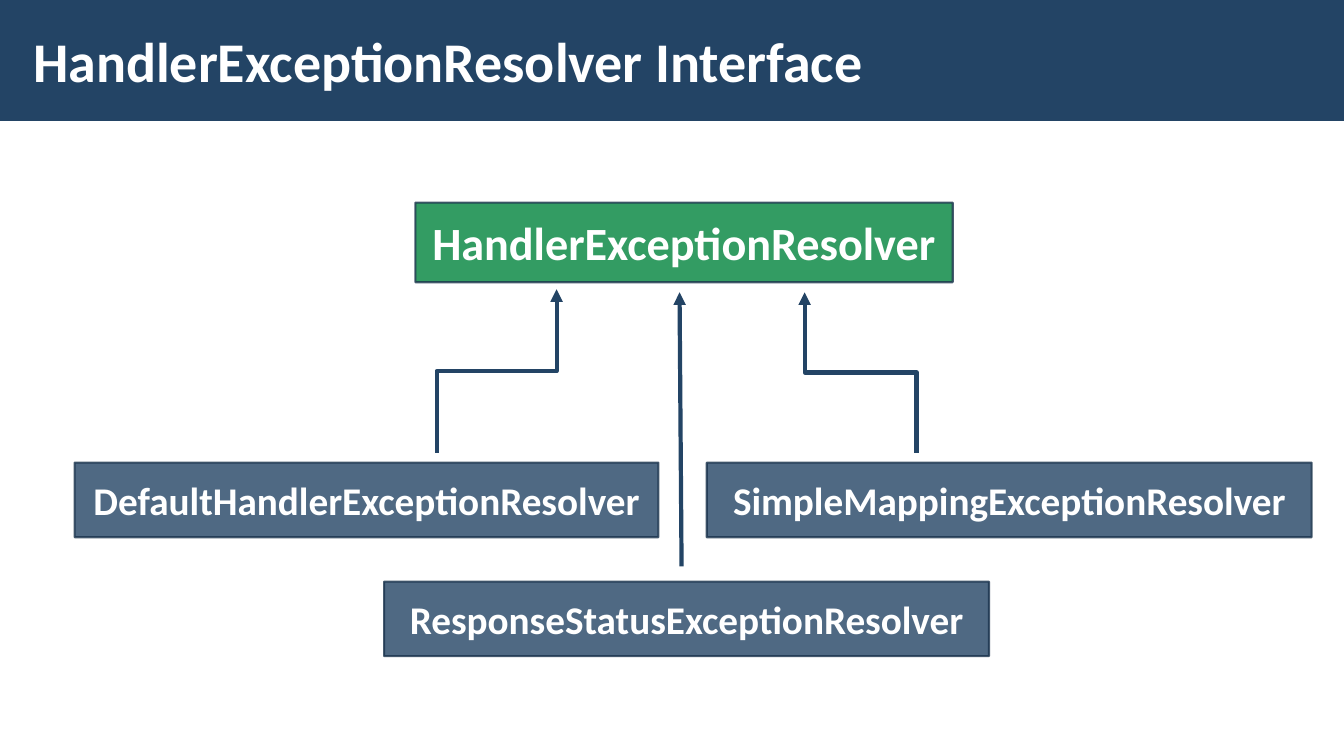
from dataclasses import dataclass

from lxml.etree import SubElement
from pptx import Presentation
from pptx.dml.color import RGBColor
from pptx.enum.shapes import MSO_CONNECTOR as Link, MSO_SHAPE as Shape
from pptx.enum.text import MSO_ANCHOR as Anchor, PP_ALIGN as Align
from pptx.oxml.ns import qn
from pptx.util import Inches, Pt


@dataclass(frozen=True)
class Theme:
    font: str = "Calibri"
    navy: RGBColor = RGBColor.from_string("234465")
    green: RGBColor = RGBColor.from_string("00843C")
    border: RGBColor = RGBColor.from_string("1A334C")
    white: RGBColor = RGBColor.from_string("FFFFFF")
    title_size: int = 40
    parent_size: int = 33
    child_size: int = 28
    opacity: int = 80


theme = Theme()


def write(box, text, size, align):
    frame = box.text_frame
    frame.word_wrap = True
    frame.vertical_anchor = Anchor.MIDDLE
    para = frame.paragraphs[0]
    para.alignment = align
    span = para.add_run()
    span.text = text
    span.font.name = theme.font
    span.font.size = Pt(size)
    span.font.bold = True
    span.font.color.rgb = theme.white


def add_rectangle(left, top, width, height, color):
    box = page.shapes.add_shape(
        Shape.RECTANGLE, Inches(left), Inches(top), Inches(width), Inches(height)
    )
    box.shadow.inherit = False
    box.fill.solid()
    box.fill.fore_color.rgb = color
    return box


deck = Presentation()
deck.slide_width = Inches(13.33)
deck.slide_height = Inches(7.5)
page = deck.slides.add_slide(deck.slide_layouts[6])

banner = add_rectangle(0, 0, 13.33, 1.2, theme.navy)
banner.line.fill.background()

title = page.shapes.add_textbox(Inches(0.21), Inches(0.11), Inches(10.63), Inches(0.97))
title.text_frame.margin_left = title.text_frame.margin_right = Inches(0.12)
title.text_frame.margin_top = title.text_frame.margin_bottom = Inches(0.04)
write(title, "HandlerExceptionResolver Interface", theme.title_size, Align.LEFT)

resolvers = [
    ("HandlerExceptionResolver", 4.12, 2.01, 5.33, 0.79, theme.green, theme.parent_size),
    ("DefaultHandlerExceptionResolver", 0.74, 4.59, 5.79, 0.74, theme.navy, theme.child_size),
    ("ResponseStatusExceptionResolver", 3.81, 5.77, 6, 0.74, theme.navy, theme.child_size),
    ("SimpleMappingExceptionResolver", 7.01, 4.59, 6, 0.74, theme.navy, theme.child_size),
]
for name, left, top, width, height, color, size in resolvers:
    box = add_rectangle(left, top, width, height, color)
    box.line.color.rgb = theme.border
    box.line.width = Pt(1.5)
    for tint in box._element.spPr.iter(qn("a:srgbClr")):
        SubElement(tint, qn("a:alpha"), val=str(theme.opacity * 1000))
    write(box, name, size, Align.CENTER)

arrows = [
    (Link.ELBOW, 4.33, 4.49, 5.52, 2.87),
    (Link.ELBOW, 9.09, 4.49, 7.98, 2.9),
    (Link.STRAIGHT, 6.76, 5.62, 6.74, 2.9),
]
for kind, start_x, start_y, end_x, end_y in arrows:
    ends = [(start_x, start_y), (end_x, end_y)]
    turn = 1 if start_x < end_x else -1
    if kind == Link.ELBOW:
        middle_x, middle_y = (start_x + end_x) / 2, (start_y + end_y) / 2
        ends = [
            (middle_x + turn * (y - middle_y), middle_y - turn * (x - middle_x))
            for x, y in ends
        ]
    arrow = page.shapes.add_connector(
        kind, *[Inches(length) for point in ends for length in point]
    )
    properties = arrow._element.spPr
    if kind == Link.ELBOW:
        properties.find(qn("a:xfrm")).set("rot", str(turn * 90 % 360 * 60000))
    arrow.line.color.rgb = theme.navy
    arrow.line.width = Pt(3)
    SubElement(properties.find(qn("a:ln")), qn("a:tailEnd"), type="triangle")
    SubElement(properties, qn("a:effectLst"))

deck.save("out.pptx")
